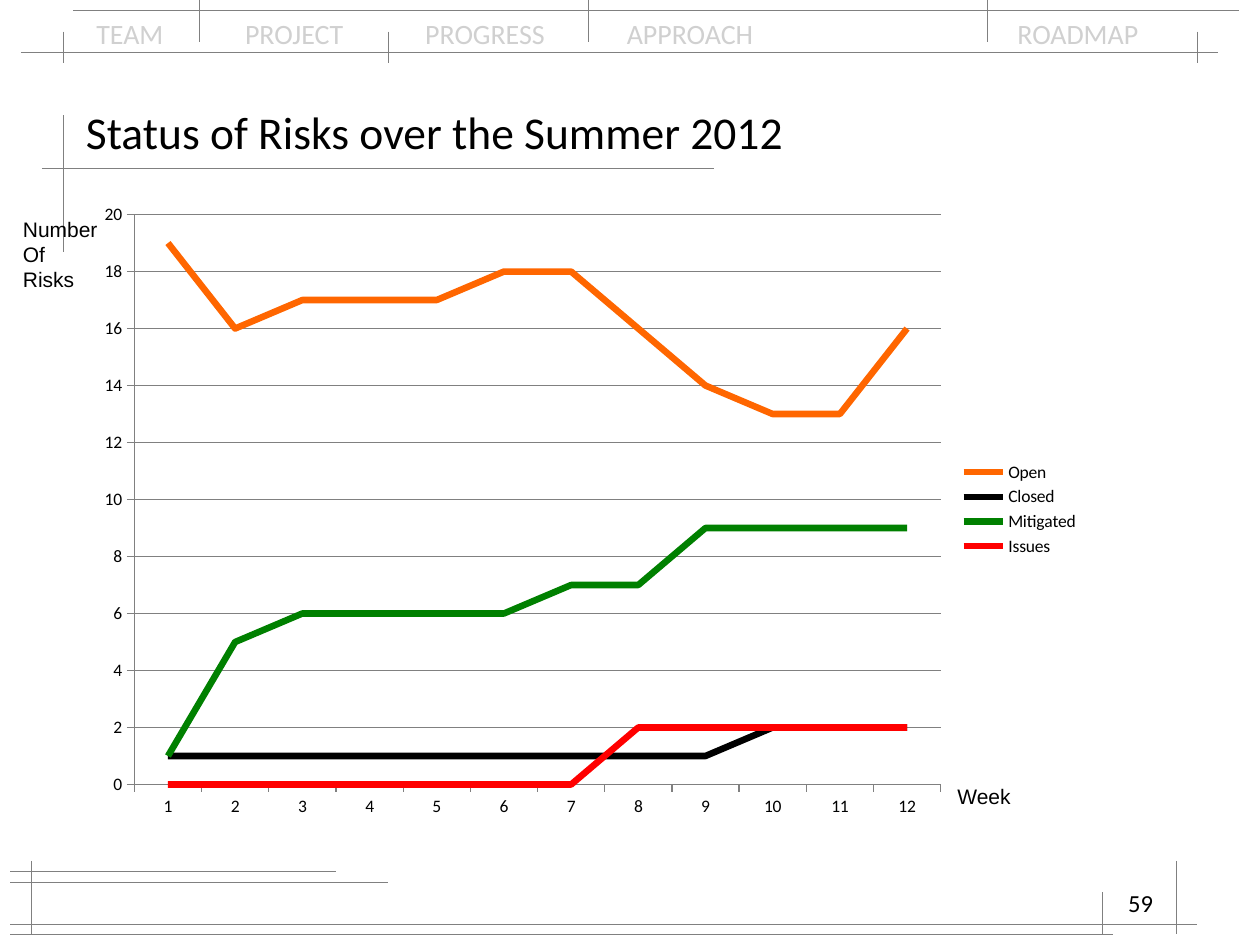
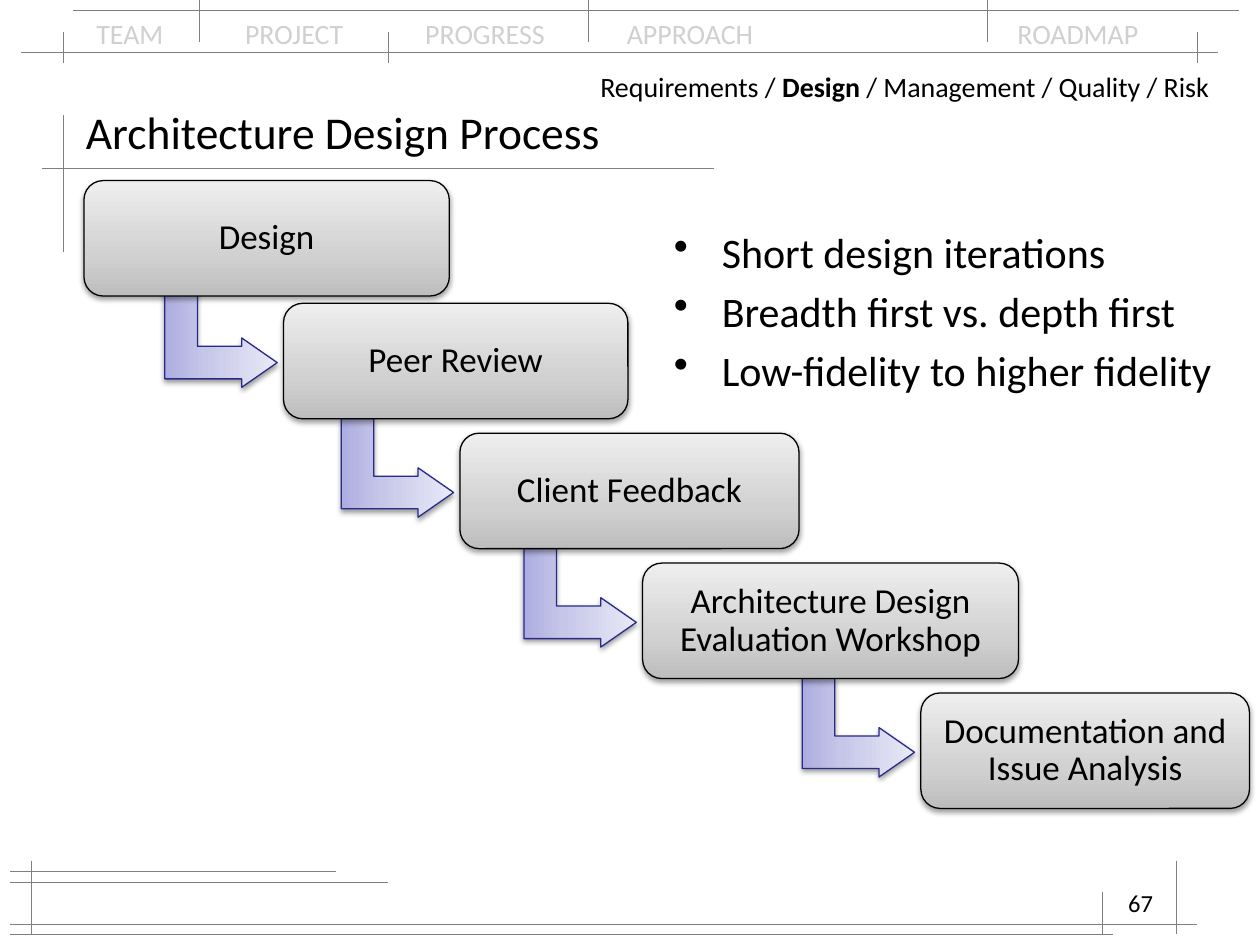
from copy import deepcopy
from dataclasses import dataclass
from itertools import pairwise

from pptx import Presentation
from pptx.chart.data import CategoryChartData
from pptx.dml.color import RGBColor
from pptx.enum.chart import XL_CHART_TYPE, XL_LEGEND_POSITION, XL_MARKER_STYLE, XL_TICK_MARK
from pptx.enum.shapes import MSO_CONNECTOR, MSO_SHAPE
from pptx.enum.text import MSO_ANCHOR, PP_ALIGN
from pptx.oxml import parse_xml
from pptx.oxml.ns import nsdecls, qn
from pptx.oxml.xmlchemy import OxmlElement
from pptx.util import Inches, Pt


@dataclass(frozen=True)
class Theme:
    font: str = "Calibri"
    plain: str = "Arial"
    ink: str = "000000"
    rule: str = "808080"
    faint: str = "D0D0D0"
    card: tuple = ("BDBDBD", "D1D1D1", "EEEEEE")
    bend: tuple = ("ADADE1", "C6C6E9", "E9E9F7")
    edge: str = "2A2A89"
    title: int = 26
    body: int = 24
    step: int = 20
    nav: int = 16
    page: int = 14
    label: int = 12
    chart: int = 10


T = Theme()
COLS, ROWS = 120, 90  # grid of twelve cells to the inch

# Rules of the slide frame: start column, start row, end column, end row
RULES = [
    (2, 5, 116, 5), (7, 1, 118, 1), (6, 11, 6, 24), (4, 16, 68, 16),
    (1, 84, 37, 84), (1, 88, 114, 88), (3, 82, 3, 89), (1, 83, 32, 83),
    (1, 89, 106, 89), (112, 82, 112, 89), (105, 85, 105, 89),
    (6, 3, 6, 6), (37, 3, 37, 6), (114, 3, 114, 6),
    (19, 0, 19, 4), (56, 0, 56, 4), (94, 0, 94, 4),
]
NAV = ["TEAM", "PROJECT", "PROGRESS", "APPROACH", "ROADMAP"]
NAV_TABS = [1.18, 2.61, 4.21, 7.31]

RISKS = [
    ("Open", "FF6600", [19, 16, 17, 17, 17, 18, 18, 16, 14, 13, 13, 16]),
    ("Closed", "000000", [1] * 9 + [2] * 3),
    ("Mitigated", "008000", [1, 5, 6, 6, 6, 6, 7, 7, 9, 9, 9, 9]),
    ("Issues", "FF0000", [0] * 7 + [2] * 5),
]

# Steps of the process: name, left column, width in columns
STEPS = [
    ("Design", 0, 34.8),
    ("Peer Review", 19, 32.8),
    ("Client Feedback", 35.8, 32.3),
    ("Architecture Design Evaluation Workshop", 53.2, 35.8),
    ("Documentation and Issue Analysis", 79.7, 31.3),
]


def grid(*cells):
    return [Inches(cell / 12) for cell in cells]


def rgb(code):
    return RGBColor.from_string(code)


def style(para, size, color=T.ink, font=T.font):
    for run in para.runs:
        run.font.size = Pt(size)
        run.font.name = font
        run.font.color.rgb = rgb(color)


def write(slide, box, text, size, color=T.ink, font=T.font, wrap=True):
    frame = slide.shapes.add_textbox(*grid(*box)).text_frame
    frame.word_wrap = wrap
    frame.text = text
    for para in frame.paragraphs:
        style(para, size, color, font)
    return frame


def draw_rules(slide):
    for ends in RULES:
        line = slide.shapes.add_connector(MSO_CONNECTOR.STRAIGHT, *grid(*ends))
        line.line.color.rgb = rgb(T.rule)
        line.line.width = Pt(0.3)
        line._element.spPr.append(OxmlElement("a:effectLst"))


def draw_nav(slide, box):
    frame = write(slide, box, "\t".join(NAV), T.nav, T.faint)
    tabs = OxmlElement("a:tabLst")
    for stop in NAV_TABS:
        tab = OxmlElement("a:tab")
        tab.set("pos", str(Inches(stop)))
        tab.set("algn", "l")
        tabs.append(tab)
    frame.paragraphs[0]._p.get_or_add_pPr().append(tabs)


def new_slide(deck, title, page):
    slide = deck.slides.add_slide(deck.slide_layouts[6])
    draw_nav(slide, (8, 1, 104, 4.4))
    draw_rules(slide)
    head = write(slide, (7, 9, 106, 7), title, T.title)
    head.vertical_anchor = MSO_ANCHOR.MIDDLE
    foot = write(slide, (86, 84, 25, 6), str(page), T.page)
    foot.paragraphs[0].alignment = PP_ALIGN.RIGHT
    return slide


def fix_plot(chart, x, y, w, h):
    """Pin the inner plot area, in shares of the chart's size."""
    area = chart._chartSpace.find(".//" + qn("c:plotArea"))
    old = area.find(qn("c:layout"))
    if old is not None:
        area.remove(old)
    parts = "".join(f'<c:{key} val="{val}"/>' for key, val in (
        ("layoutTarget", "inner"), ("xMode", "edge"), ("yMode", "edge"),
        ("x", x), ("y", y), ("w", w), ("h", h)))
    area.insert(0, parse_xml(
        f'<c:layout {nsdecls("c")}><c:manualLayout>{parts}</c:manualLayout></c:layout>'))


def draw_chart(slide, box):
    data = CategoryChartData()
    data.categories = [str(week) for week in range(1, 13)]
    for name, _, vals in RISKS:
        data.add_series(name, vals)
    chart = slide.shapes.add_chart(XL_CHART_TYPE.LINE, *grid(*box), data).chart
    chart.has_title = False
    chart.font.size = Pt(T.chart)
    chart.font.name = T.font
    chart.font.color.rgb = rgb(T.ink)
    chart.has_legend = True
    chart.legend.position = XL_LEGEND_POSITION.RIGHT
    chart.legend.include_in_layout = False
    fix_plot(chart, 0.05, 0.04, 0.8, 0.89)

    plot = chart.plots[0]
    plot.vary_by_categories = False
    for series, (_, color, _) in zip(plot.series, RISKS):
        series.smooth = False
        series.marker.style = XL_MARKER_STYLE.NONE
        series.format.line.color.rgb = rgb(color)
        series.format.line.width = Pt(3.75)

    count = chart.value_axis
    count.minimum_scale, count.maximum_scale, count.major_unit = 0, 20, 2
    count.has_major_gridlines = True
    for axis in (chart.category_axis, count):
        axis.major_tick_mark = XL_TICK_MARK.OUTSIDE
    for part in (chart.category_axis, count, count.major_gridlines):
        part.format.line.color.rgb = rgb(T.rule)
        part.format.line.width = Pt(0.75)


def shade(shape, colors, edge):
    """Give a shape its three-stop gradient, outline and soft shadow."""
    shape.fill.gradient()
    shape.fill.gradient_angle = 90
    stops = shape._element.spPr.find(".//" + qn("a:gsLst"))
    stops.insert(1, deepcopy(stops[0]))
    for stop, place, color in zip(shape.fill.gradient_stops, (0, 0.35, 1), colors):
        stop.position = place
        stop.color.rgb = rgb(color)
    shape.line.color.rgb = rgb(edge)
    shape.line.width = Pt(0.75)
    shape.shadow.inherit = False
    shape._element.spPr.find(qn("a:effectLst")).append(parse_xml(
        f'<a:outerShdw {nsdecls("a")} blurRad="40000" dist="20000" dir="5400000" '
        'rotWithShape="0"><a:srgbClr val="000000"><a:alpha val="38000"/>'
        '</a:srgbClr></a:outerShdw>'))


def draw_card(slide, box, name):
    card = slide.shapes.add_shape(MSO_SHAPE.ROUNDED_RECTANGLE, *grid(*box))
    shade(card, T.card, T.ink)
    frame = card.text_frame
    frame.word_wrap = True
    frame.vertical_anchor = MSO_ANCHOR.MIDDLE
    frame.margin_left = frame.margin_right = Inches(0.12)
    frame.margin_top = frame.margin_bottom = Inches(0.12)
    frame.text = name
    para = frame.paragraphs[0]
    para.alignment = PP_ALIGN.CENTER
    para.line_spacing = 0.9
    style(para, T.step)


def draw_bend(slide, left, top):
    """Draw the bent arrow that leads into the card at left, top."""
    bend = slide.shapes.add_shape(
        MSO_SHAPE.BENT_UP_ARROW, *grid(left - 10.65, top - 2.05, 9.4, 10.7))
    bend.rotation = 90
    for i, value in enumerate((0.33, 0.25, 0.36)):
        bend.adjustments[i] = value
    shade(bend, T.bend, T.edge)


def draw_steps(slide, box):
    left, top, _, high = box
    tall, pitch = 11, 12.37
    first = top + high - tall - pitch * (len(STEPS) - 1)
    cards = [(left + col, max(top, first + pitch * i), wide, tall)
             for i, (_, col, wide) in enumerate(STEPS)]
    for _, (x, y, _, _) in pairwise(cards):
        draw_bend(slide, x, y)
    for card, (name, _, _) in zip(cards, STEPS):
        draw_card(slide, card, name)


def draw_list(slide, box, items):
    frame = write(slide, box, "\n".join(items), T.body)
    for i, para in enumerate(frame.paragraphs):
        props = para._p.get_or_add_pPr()
        props.set("marL", str(Inches(0.38)))
        props.set("indent", str(-Inches(0.38)))
        mark = OxmlElement("a:buChar")
        mark.set("char", "•")
        props.append(mark)
        if i:
            para.space_before = Pt(T.body * 0.2)


def draw_crumb(slide, box, topics, current):
    """List the topics in one line with the current one in bold."""
    frame = write(slide, box, "", T.nav)
    para = frame.paragraphs[0]
    for i, topic in enumerate(topics):
        if i:
            para.add_run().text = " / "
        run = para.add_run()
        run.text = topic
        run.font.bold = topic == current
    style(para, T.nav)


def risk_slide(deck):
    slide = new_slide(deck, "Status of Risks over the Summer 2012", 59)
    draw_chart(slide, (8, 18, 96, 61))
    write(slide, (1, 20, 9.7, 8.5), "Number\nOf\nRisks", T.label, font=T.plain, wrap=False)
    write(slide, (90, 74, 7.6, 3.6), "Week", T.label, font=T.plain, wrap=False)


def design_slide(deck):
    slide = new_slide(deck, "Architecture Design Process", 67)
    draw_steps(slide, (8, 17.2, 111, 59.8))
    draw_crumb(slide, (56, 6, 61, 4.4),
               ["Requirements", "Design", "Management", "Quality", "Risk"], "Design")
    draw_list(slide, (63, 21, 56, 19), [
        "Short design iterations",
        "Breadth first vs. depth first",
        "Low-fidelity to higher fidelity",
    ])


def main():
    deck = Presentation()
    deck.slide_width, deck.slide_height = grid(COLS, ROWS)
    risk_slide(deck)
    design_slide(deck)
    deck.save("out.pptx")


if __name__ == "__main__":
    main()
